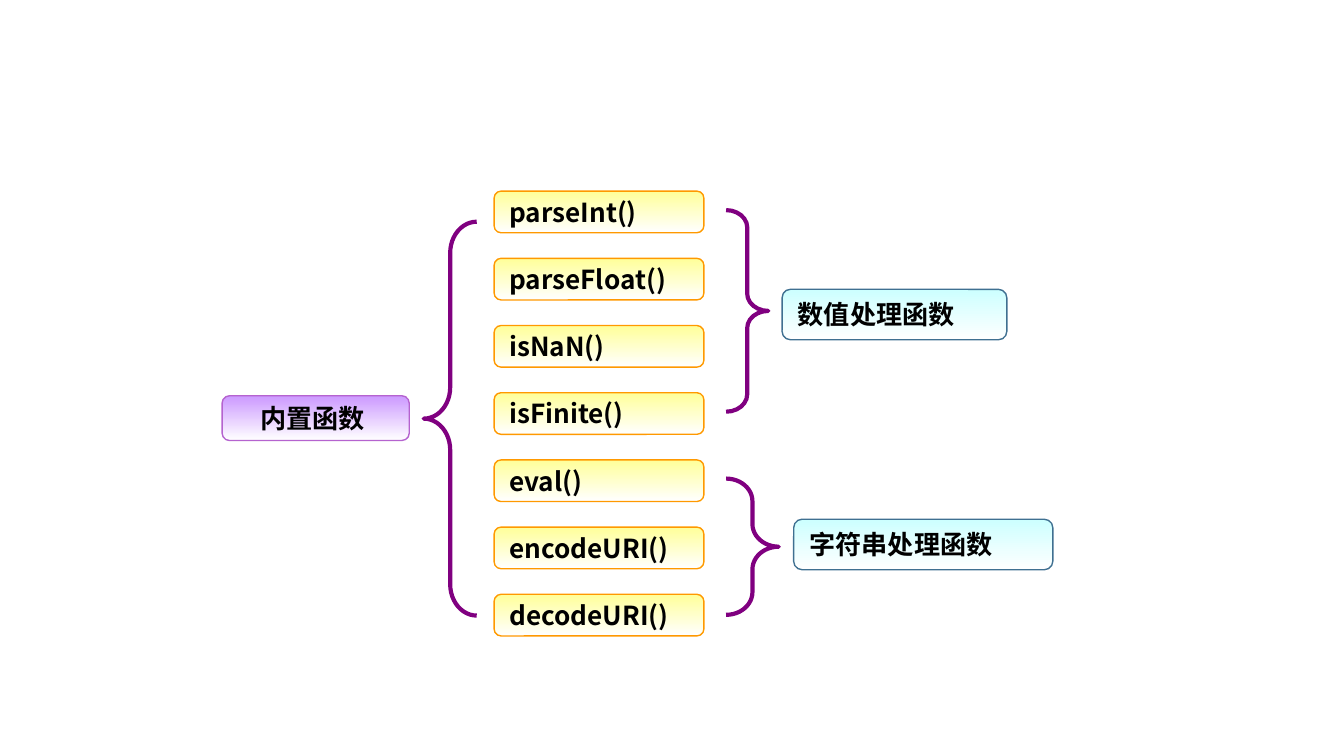
from collections import namedtuple
from dataclasses import dataclass

from lxml.etree import SubElement
from pptx import Presentation
from pptx.dml.color import RGBColor
from pptx.enum.shapes import MSO_SHAPE as Shape
from pptx.enum.text import MSO_ANCHOR as Anchor, PP_ALIGN as Align
from pptx.oxml.ns import qn
from pptx.util import Pt

Box = namedtuple("Box", "left top width height")
Tint = namedtuple("Tint", "fill line")


@dataclass(frozen=True)
class Theme:
    font: str = "Noto Sans CJK JP"
    text_size: float = 14
    text: str = "000000"
    fade: str = "FFFFFF"
    root: Tint = Tint("CC99FF", "B563CF")
    function: Tint = Tint("FFFF99", "FF9900")
    category: Tint = Tint("CCFFFF", "3F7091")
    brace: str = "800080"
    outline: float = 0.75
    brace_width: float = 2.25


THEME = Theme()
FUNCTIONS = ["parseInt()", "parseFloat()", "isNaN()", "isFinite()",
             "eval()", "encodeURI()", "decodeURI()"]
FUNCTION_PITCH = 36
FUNCTION_HEIGHT = 22.3


def add_preset(slide, preset, box, line, line_width):
    shape = slide.shapes.add_shape(preset, *(Pt(length) for length in box))
    shape.shadow.inherit = False
    shape.line.color.rgb = RGBColor.from_string(line)
    shape.line.width = Pt(line_width)
    return shape


def write_text(shape, text, align=Align.LEFT, wrap=True):
    frame = shape.text_frame
    frame.word_wrap = wrap
    frame.vertical_anchor = Anchor.MIDDLE
    paragraph = frame.paragraphs[0]
    paragraph.alignment = align
    run = paragraph.add_run()
    run.text = text
    run.font.name = THEME.font
    run.font.size = Pt(THEME.text_size)
    run.font.bold = True
    run.font.color.rgb = RGBColor.from_string(THEME.text)
    SubElement(run.font._element, qn("a:ea"), typeface=THEME.font)


def add_label(slide, box, text, tint, **text_format):
    """Rounded box whose tint fades to white from top to bottom."""
    label = add_preset(slide, Shape.ROUNDED_RECTANGLE, box, tint.line, THEME.outline)
    label.fill.gradient()
    label.fill.gradient_angle = 270
    stops = zip(label.fill.gradient_stops, (tint.fill, THEME.fade), (0, 1))
    for stop, color, position in stops:
        stop.color.rgb = RGBColor.from_string(color)
        stop.position = position
    write_text(label, text, **text_format)


def add_brace(slide, preset, box, curve):
    brace = add_preset(slide, preset, box, THEME.brace, THEME.brace_width)
    brace.fill.background()
    brace.adjustments[0] = curve


def add_function_list(slide, box):
    for index, function in enumerate(FUNCTIONS):
        top = box.top + index * FUNCTION_PITCH
        add_label(slide, Box(box.left, top, box.width, FUNCTION_HEIGHT),
                  function, THEME.function)


def add_root(slide, label_box, brace_box):
    add_label(slide, label_box, "内置函数 ", THEME.root, align=Align.CENTER, wrap=False)
    add_brace(slide, Shape.LEFT_BRACE, brace_box, 0.59)


def add_category(slide, label_box, brace_box, text, curve):
    add_brace(slide, Shape.RIGHT_BRACE, brace_box, curve)
    add_label(slide, label_box, text, THEME.category)


def main():
    deck = Presentation()
    deck.slide_width, deck.slide_height = Pt(720), Pt(405)
    slide = deck.slides.add_slide(deck.slide_layouts[6])

    add_root(slide, Box(119, 212, 100.3, 24), Box(227, 118.8, 28.4, 211))
    add_function_list(slide, Box(264.7, 102.4, 112.4, 6 * FUNCTION_PITCH + FUNCTION_HEIGHT))
    add_category(slide, Box(419, 155, 120.4, 27), Box(389, 112.6, 22.6, 108),
                 "数值处理函数", 0.41)
    add_category(slide, Box(425.2, 278.2, 138.8, 27), Box(389, 256.4, 28.2, 73),
                 "字符串处理函数", 0.43)

    deck.save("out.pptx")


if __name__ == "__main__":
    main()
